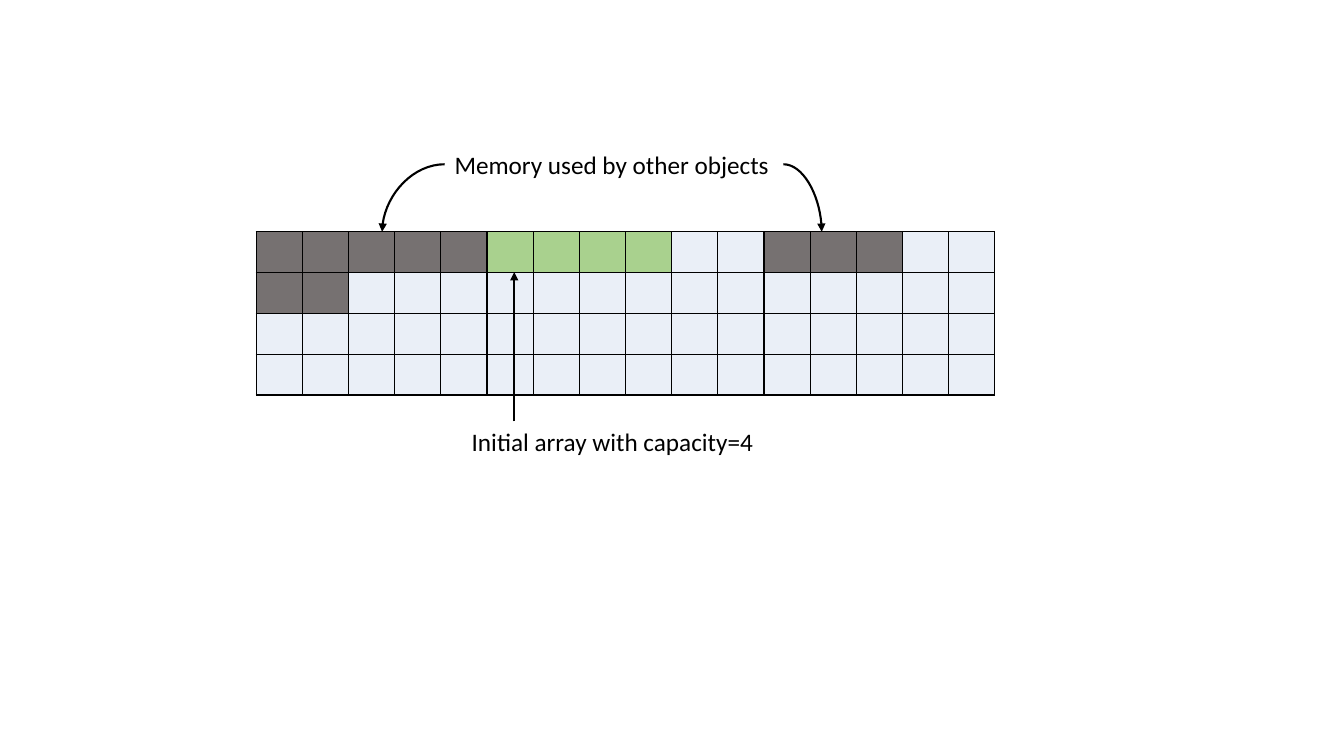
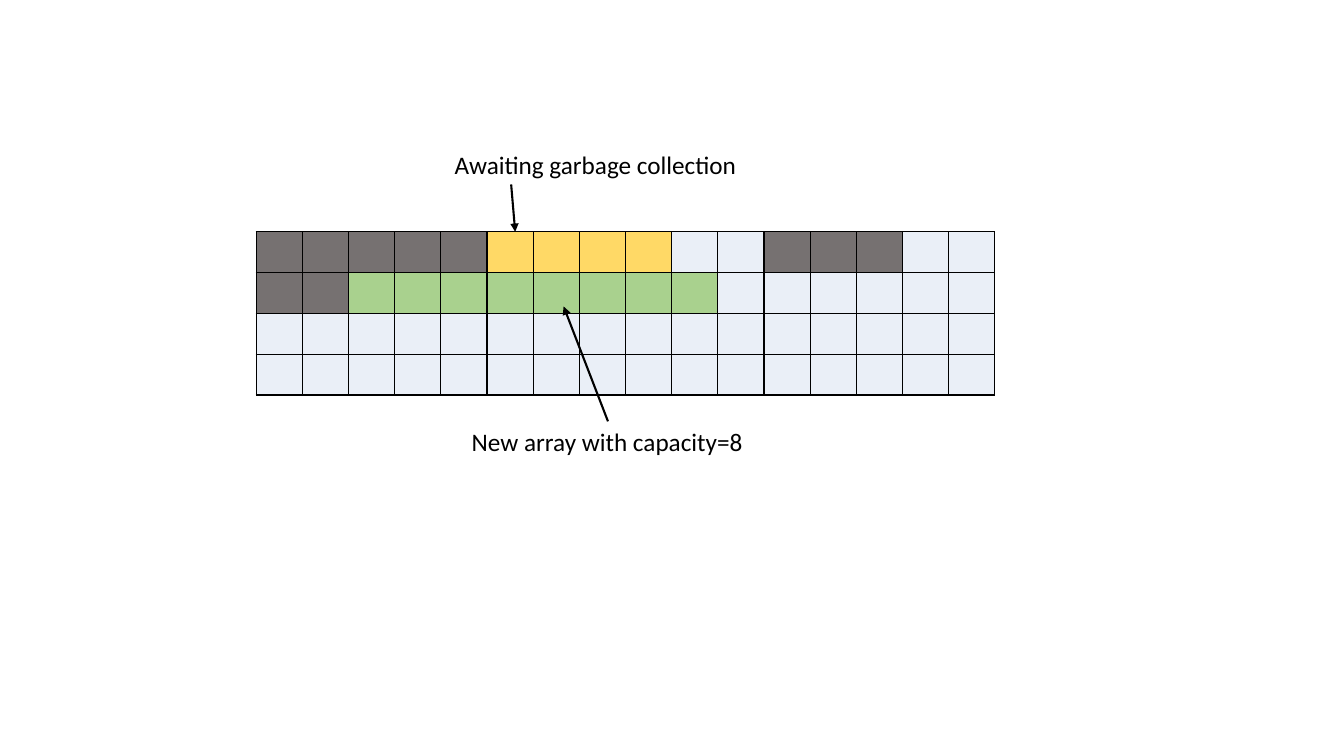
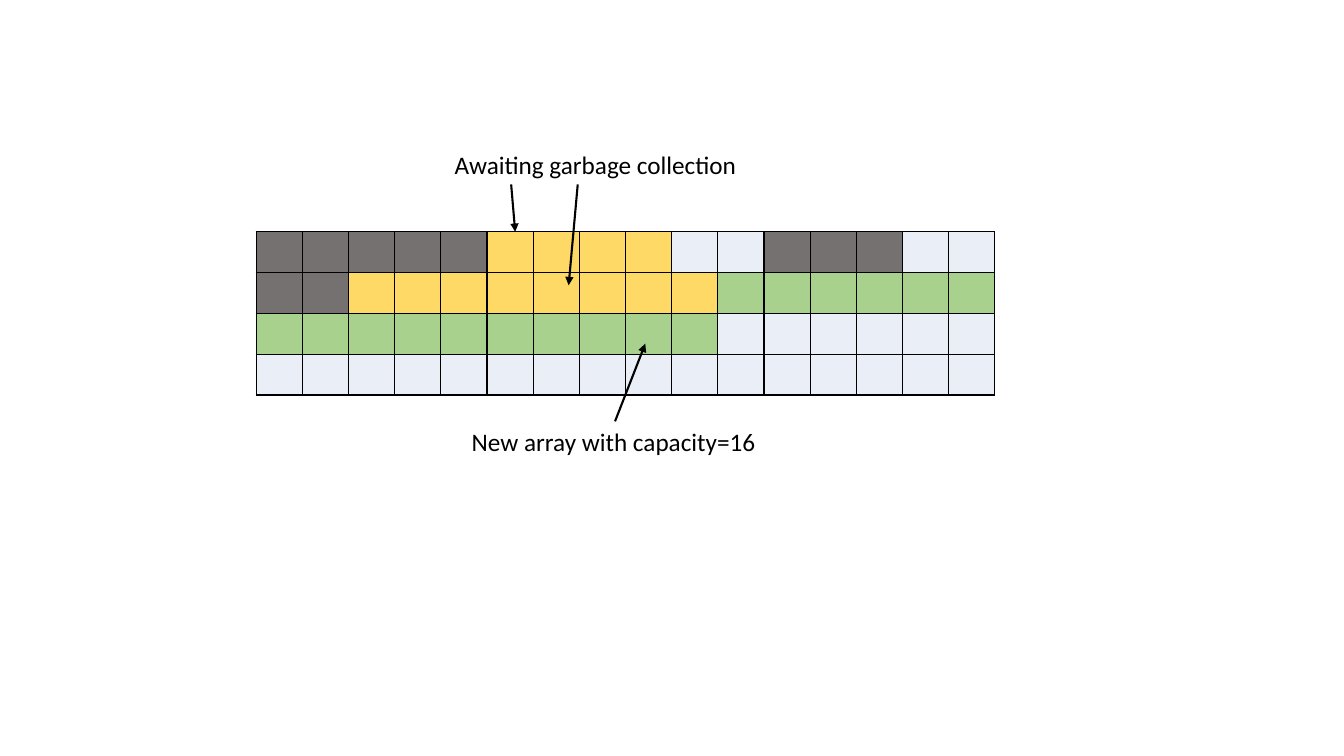
from dataclasses import dataclass
from itertools import chain, repeat

from lxml.etree import SubElement
from pptx import Presentation
from pptx.dml.color import RGBColor
from pptx.enum.shapes import MSO_CONNECTOR as Connector
from pptx.enum.text import MSO_AUTO_SIZE as AutoSize
from pptx.oxml.ns import qn
from pptx.util import Inches, Pt


@dataclass(frozen=True)
class Theme:
    """Colours, type and line widths shared by all slides."""
    ink: str = "000000"
    free: str = "EAEFF7"
    used: str = "767171"
    live: str = "A9D18E"
    garbage: str = "FFD966"
    font: str = "Calibri"
    text_size: int = 18
    arrow_width: float = 1.5
    border_width: float = 1


THEME = Theme()
ROWS, COLUMNS = 4, 16
GRID_LEFT, GRID_TOP, GRID_WIDTH, GRID_HEIGHT = 2.54, 2.3, 7.33, 1.62
UPPER_LABEL, LOWER_LABEL = (4.41, 1.43), (4.58, 4.18)
LABEL_HEIGHT = 0.4
UPPER_MIDDLE = UPPER_LABEL[1] + LABEL_HEIGHT / 2
UPPER_BOTTOM = UPPER_LABEL[1] + LABEL_HEIGHT


class MemoryDeck:
    """Draws memory maps with labels and arrows, one slide at a time."""

    def __init__(self, theme):
        """Start an empty widescreen deck."""
        self.theme = theme
        self.deck = Presentation()
        self.deck.slide_width = Inches(13.33)
        self.deck.slide_height = Inches(7.5)
        self.page = None

    def new_page(self):
        """Add a blank slide and make it current."""
        self.page = self.deck.slides.add_slide(self.deck.slide_layouts[6])

    def memory(self, blocks):
        """Draw the memory grid; blocks are (colour, cell count) in address order."""
        table = self.page.shapes.add_table(
            ROWS, COLUMNS, Inches(GRID_LEFT), Inches(GRID_TOP),
            Inches(GRID_WIDTH), Inches(GRID_HEIGHT)).table
        table.first_row = table.horz_banding = False
        colours = chain.from_iterable(repeat(*block) for block in blocks)
        for cell in table.iter_cells():
            cell.margin_top = cell.margin_bottom = 0
            self.border(cell)
            cell.fill.solid()
            cell.fill.fore_color.rgb = RGBColor.from_string(
                next(colours, self.theme.free))

    def border(self, cell):
        """Outline all four sides of a table cell."""
        properties = cell._tc.get_or_add_tcPr()
        for side in ("a:lnL", "a:lnR", "a:lnT", "a:lnB"):
            line = SubElement(properties, qn(side),
                              w=str(Pt(self.theme.border_width)))
            fill = SubElement(line, qn("a:solidFill"))
            SubElement(fill, qn("a:srgbClr"), val=self.theme.ink)

    def label(self, text, corner, width):
        """Write a one-line label from its top left corner."""
        left, top = corner
        box = self.page.shapes.add_textbox(
            Inches(left), Inches(top), Inches(width), Inches(LABEL_HEIGHT))
        frame = box.text_frame
        frame.word_wrap = False
        frame.auto_size = AutoSize.SHAPE_TO_FIT_TEXT
        para = frame.paragraphs[0]
        para.text = text
        para.font.name = self.theme.font
        para.font.size = Pt(self.theme.text_size)
        para.font.color.rgb = RGBColor.from_string(self.theme.ink)

    def arrow(self, start, end, curved=False):
        """Draw an arrow, straight or as a quarter bend."""
        kind = Connector.CURVE if curved else Connector.STRAIGHT
        line = self.page.shapes.add_connector(
            kind, *(Inches(value) for value in start + end))
        line.line.color.rgb = RGBColor.from_string(self.theme.ink)
        line.line.width = Pt(self.theme.arrow_width)
        properties = line._element.spPr
        if curved:
            properties.find(qn("a:prstGeom")).set("prst", "curvedConnector2")
        SubElement(properties.find(qn("a:ln")), qn("a:tailEnd"), type="triangle")
        SubElement(properties, qn("a:effectLst"))

    def save(self):
        """Write the finished deck."""
        self.deck.save("out.pptx")


def memory_blocks(first_array, *later_blocks):
    """Place arrays around the memory that other objects hold."""
    return [(THEME.used, 5), (first_array, 4), (THEME.free, 2), (THEME.used, 3),
            (THEME.free, 2), (THEME.used, 2), *later_blocks]


def initial_array(deck):
    """Slide 1: the first array among other objects."""
    deck.new_page()
    deck.memory(memory_blocks(THEME.live))
    deck.label("Memory used by other objects", UPPER_LABEL, 3.36)
    deck.arrow((4.41, UPPER_MIDDLE), (3.79, GRID_TOP), curved=True)
    deck.arrow((7.77, UPPER_MIDDLE), (8.15, GRID_TOP), curved=True)
    deck.label("Initial array with capacity=4", LOWER_LABEL, 3.02)
    deck.arrow((5.1, LOWER_LABEL[1]), (5.1, 2.7))


def grown_array(deck, capacity, width, blocks, new_arrow):
    """Slides 2 and 3: a larger array replaces the one before it."""
    deck.new_page()
    deck.memory(memory_blocks(THEME.garbage, *blocks))
    deck.label("Awaiting garbage collection", UPPER_LABEL, 3.03)
    deck.label(f"New array with capacity={capacity}", LOWER_LABEL, width)
    deck.arrow((5.07, UPPER_BOTTOM), (5.11, GRID_TOP))
    deck.arrow(*new_arrow)


def main():
    """Build the three slides."""
    deck = MemoryDeck(THEME)
    initial_array(deck)
    grown_array(deck, 8, 2.92, [(THEME.live, 8)],
                ((6.03, LOWER_LABEL[1]), (5.59, 3.04)))
    grown_array(deck, 16, 3.05, [(THEME.garbage, 8), (THEME.live, 16)],
                ((6.1, LOWER_LABEL[1]), (6.4, 3.41)))
    deck.arrow((5.73, UPPER_BOTTOM), (5.64, 2.83))
    deck.save()


main()
